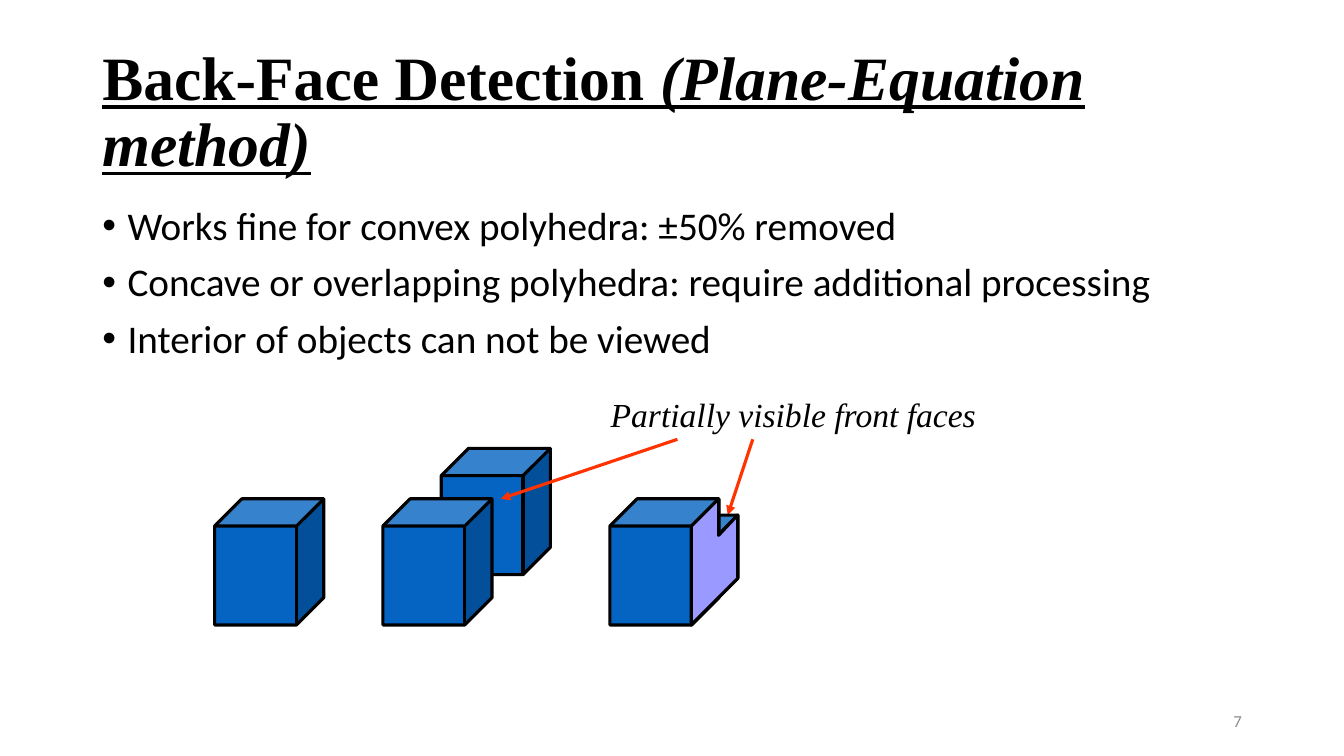
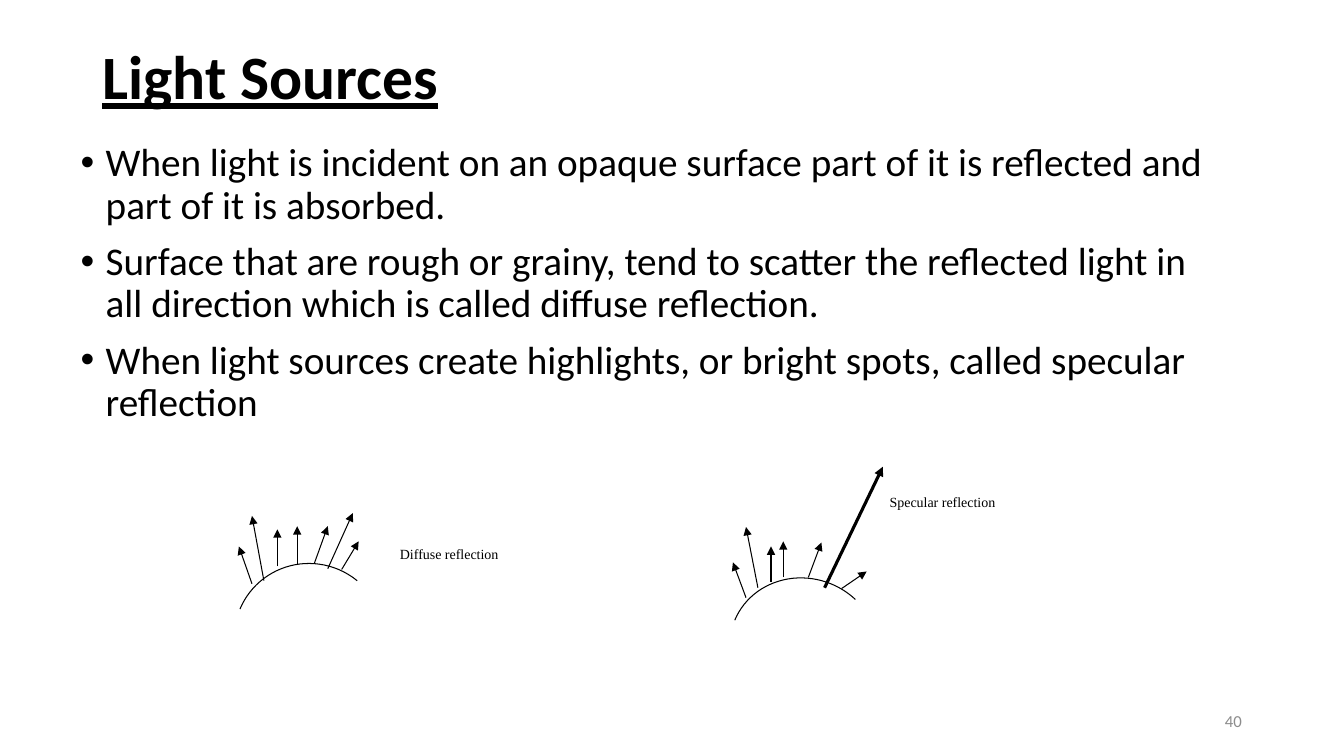
import pptx
import pptx.dml.color
import pptx.enum.shapes
import pptx.enum.text
import pptx.oxml
import pptx.oxml.ns
import pptx.util
import lxml.etree

Cm = pptx.util.Cm
Pt = pptx.util.Pt
SHAPE = pptx.enum.shapes.MSO_SHAPE
ANCHOR = pptx.enum.text.MSO_ANCHOR
ALIGN = pptx.enum.text.PP_ALIGN

HUES = {"ink": "000000", "paper": "FFFFFF", "grey": "8C8C8C",
        "blue": "0563C1", "lilac": "9999FF", "red": "FF3300"}
SANS, SERIF = "Calibri", "Times New Roman"
BOLD, FINE = 2.25, 0.75
HANG = Cm(0.635)
TILT = 202.7


def hue(name):
    return pptx.dml.color.RGBColor.from_string(HUES[name])


def paint(shape, fill, width):
    shape.shadow.inherit = False
    if fill:
        shape.fill.solid()
        shape.fill.fore_color.rgb = hue(fill)
    else:
        shape.fill.background()
    shape.line.color.rgb = hue("ink")
    shape.line.width = Pt(width)


def write(para, text, size=28, font=SANS, color="ink",
          bold=False, italic=False, line=False):
    """Add one formatted run to a paragraph."""
    run = para.add_run()
    run.text = text
    run.font.size = Pt(size)
    run.font.name = font
    run.font.color.rgb = hue(color)
    run.font.bold = bold
    run.font.italic = italic
    run.font.underline = line


def frame(slide, left, top, width, height, anchor=ANCHOR.TOP, wrap=True, fill=None):
    """Add an empty text box and return its text frame."""
    box = slide.shapes.add_textbox(Cm(left), Cm(top), Cm(width), Cm(height))
    if fill:
        box.fill.solid()
        box.fill.fore_color.rgb = hue(fill)
    box.text_frame.word_wrap = wrap
    box.text_frame.vertical_anchor = anchor
    return box.text_frame


def title(slide, parts, height, font):
    """Write the heading from (text, italic) parts."""
    para = frame(slide, 2.33, 1.02, 29.21, height, ANCHOR.MIDDLE).paragraphs[0]
    para.line_spacing = 0.9
    for text, italic in parts:
        write(para, text, size=44, font=font, bold=True, italic=italic, line=True)


def points(slide, left, top, items):
    """Write a bulleted list."""
    body = frame(slide, left, top, 29.21, 12.1)
    for i, item in enumerate(items):
        para = body.add_paragraph() if i else body.paragraphs[0]
        para.line_spacing = 0.9
        para.space_before = Pt(10)
        write(para, item)
        props = para._p.get_or_add_pPr()
        props.set("marL", str(HANG))
        props.set("indent", str(-HANG))
        for tag, key, value in (("a:buFont", "typeface", "Arial"),
                                ("a:buChar", "char", "•")):
            lxml.etree.SubElement(props, pptx.oxml.ns.qn(tag)).set(key, value)


def label(slide, text, left, top, width, height, size=10, italic=False,
          wrap=True, fill=None):
    body = frame(slide, left, top, width, height, wrap=wrap, fill=fill)
    write(body.paragraphs[0], text, size=size, font=SERIF, italic=italic)


def number(slide, text):
    para = frame(slide, 23.93, 17.65, 7.62, 1.02, ANCHOR.MIDDLE).paragraphs[0]
    para.alignment = ALIGN.RIGHT
    write(para, text, size=12, color="grey")


def arrow(slide, x1, y1, x2, y2, color="ink", width=FINE):
    """Draw a line with its arrowhead at the second point."""
    line = slide.shapes.add_connector(
        pptx.enum.shapes.MSO_CONNECTOR.STRAIGHT, Cm(x1), Cm(y1), Cm(x2), Cm(y2))
    line.line.color.rgb = hue(color)
    line.line.width = Pt(width)
    qn = pptx.oxml.ns.qn
    lxml.etree.SubElement(line.line._get_or_add_ln(), qn("a:tailEnd")).set("type", "triangle")
    lxml.etree.SubElement(line._element.spPr, qn("a:effectLst"))


def cube(slide, left, top, height=3.18):
    block = slide.shapes.add_shape(SHAPE.CUBE, Cm(left), Cm(top), Cm(2.75), Cm(height))
    block.adjustments[0] = 0.25
    paint(block, "blue", BOLD)


def notch(slide):
    """Draw the cut side of the concave block."""
    spots = [(17.42, 15.75), (17.42, 13.26), (18.11, 12.57), (18.11, 13.49),
             (18.59, 12.98), (18.59, 14.58)]
    first, *rest = [(Cm(x), Cm(y)) for x, y in spots]
    pen = slide.shapes.build_freeform(*first)
    pen.add_line_segments(rest, close=True)
    paint(pen.convert_to_shape(), "lilac", BOLD)


def dome(slide, x, y, rx, ry, sweep):
    """Draw the curved surface around a centre; sweep is in degrees."""
    arc = slide.shapes.add_shape(SHAPE.ARC, Cm(x - rx), Cm(y - ry), Cm(2 * rx), Cm(2 * ry))
    # Stored as 60000ths of a degree, which the library scales by 100000
    arc.adjustments[0] = 0
    arc.adjustments[1] = sweep * 0.6
    arc.rotation = TILT
    paint(arc, None, FINE)


def faces(slide):
    title(slide, [("Back-Face Detection ", False), ("(Plane-Equation method)", True)],
          3.68, SERIF)
    points(slide, 2.33, 5.08, [
        "Works fine for convex polyhedra: ±50% removed",
        "Concave or overlapping polyhedra: require additional processing",
        "Interior of objects can not be viewed"])
    number(slide, "7")
    for left, top in ((11.12, 11.3), (9.65, 12.57), (5.41, 12.57)):
        cube(slide, left, top)
    for ends in ((17.07, 11.07, 12.62, 12.57), (18.97, 11.07, 18.34, 12.98)):
        arrow(slide, *ends, color="red", width=BOLD)
    label(slide, "Partially visible front faces", 15.14, 9.8, 9.8, 1.3,
          size=24, italic=True, wrap=False)
    cube(slide, 15.85, 12.98, 2.11)
    cube(slide, 15.37, 12.57)
    notch(slide)


def lights(slide):
    points(slide, 1.78, 3.48, [
        "When light is incident on an opaque surface part of it is reflected "
        "and part of it is absorbed.",
        "Surface that are rough or grainy, tend to scatter the reflected light "
        "in all direction which is called diffuse reflection.",
        "When light sources create highlights, or bright spots, called specular "
        "reflection"])
    number(slide, "40")
    title(slide, [("Light Sources", False)], 1.98, SANS)
    dome(slide, 20.27, 16.36, 1.9, 1.78, 113)
    dome(slide, 7.8, 16.08, 1.9, 1.88, 107)
    soft = [(18.8, 15.06, 18.47, 14.17), (19.1, 14.81, 18.8, 13.28),
            (19.43, 14.66, 19.43, 13.77), (19.74, 14.55, 19.74, 13.64),
            (20.37, 14.55, 20.7, 13.67), (21.21, 14.83, 21.84, 14.4)]
    even = [(6.35, 14.71, 6.02, 13.77), (6.65, 14.63, 6.35, 13),
            (6.99, 14.27, 6.99, 13.34), (7.49, 14.2, 7.49, 13.26),
            (7.92, 14.2, 8.26, 13.26), (8.26, 14.33, 8.89, 12.93),
            (8.61, 14.35, 9.04, 13.64)]
    for ray in soft + even:
        arrow(slide, *ray)
    arrow(slide, 20.78, 14.81, 22.25, 11.76, width=BOLD)
    label(slide, "Specular reflection", 22.17, 12.32, 4.45, 0.89, fill="paper")
    label(slide, "Diffuse reflection", 9.83, 13.61, 4.45, 0.94, fill="paper")


def main():
    deck = pptx.Presentation()
    deck.slide_width, deck.slide_height = Cm(33.87), Cm(19.05)
    for build in (faces, lights):
        build(deck.slides.add_slide(deck.slide_layouts[6]))
    deck.save("out.pptx")


if __name__ == "__main__":
    main()
